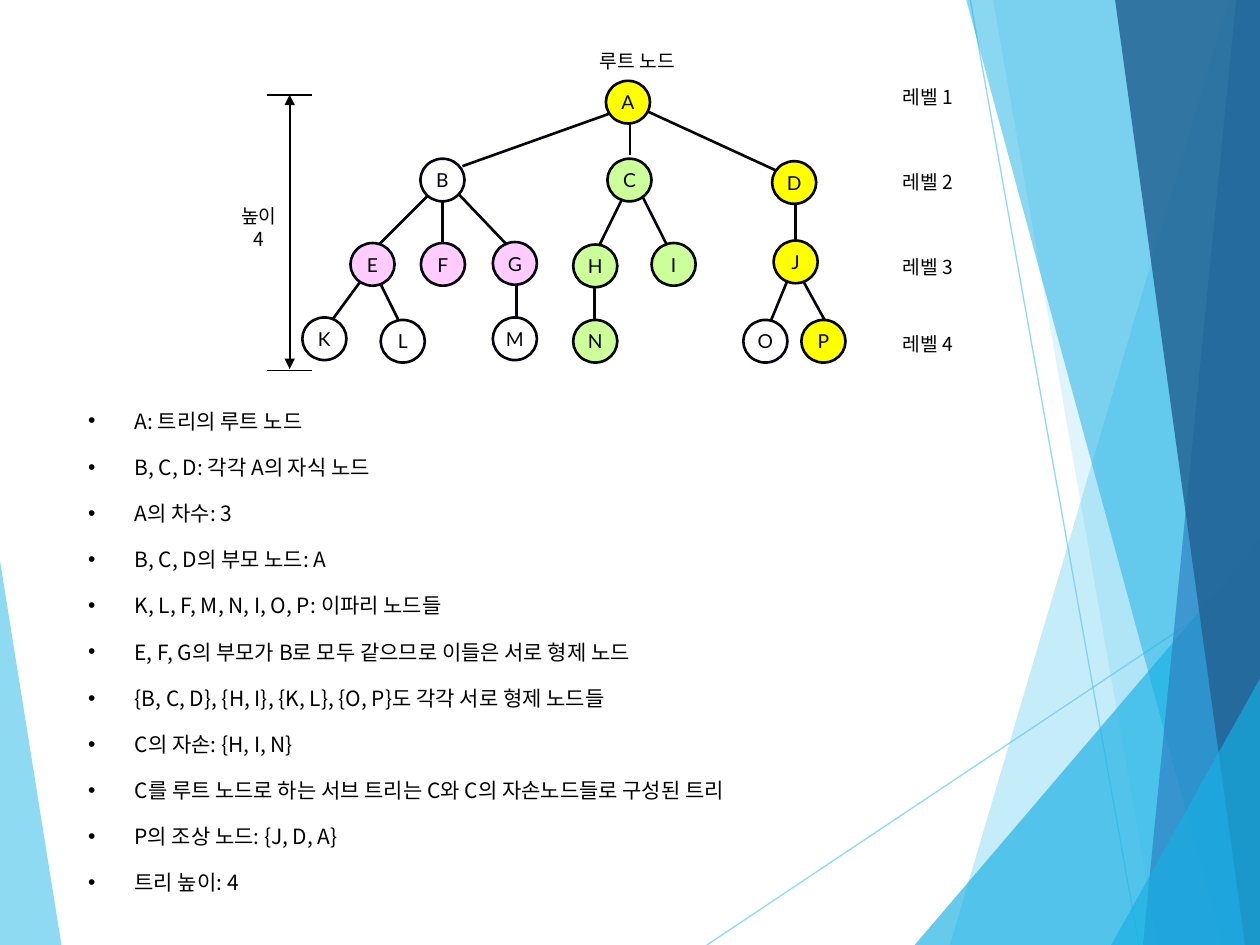
from lxml.etree import SubElement
from pptx import Presentation
from pptx.dml.color import RGBColor
from pptx.enum.shapes import MSO_CONNECTOR, MSO_SHAPE
from pptx.enum.text import MSO_ANCHOR, MSO_AUTO_SIZE, PP_ALIGN
from pptx.oxml.ns import qn
from pptx.util import Cm, Pt

W, H = 25.4, 19.05
NODE_W, NODE_H = 0.89, 0.86
KOREAN, LATIN = "Noto Sans CJK KR", "Lato"
COLORS = {
    "sky": "5FCBEF", "cyan": "17B0E4", "blue": "2E83C3", "navy": "226292",
    "black": "000000", "ink": "04050C", "white": "FFFFFF",
    "yellow": "FFFF00", "pink": "FFCCFF", "green": "CCFF99",
}
RGB = {name: RGBColor.from_string(value) for name, value in COLORS.items()}

prs = Presentation()
prs.slide_width, prs.slide_height = Cm(W), Cm(H)
s = prs.slides.add_slide(prs.slide_layouts[1])
title, body = s.placeholders
title.element.getparent().remove(title.element)


def add_line(start, end, color, width):
    ln = s.shapes.add_connector(MSO_CONNECTOR.STRAIGHT, *map(Cm, start + end))
    ln.line.color.rgb = RGB[color]
    ln.line.width = Pt(width)
    SubElement(ln.element.spPr, qn("a:effectLst"))
    return ln


def write(tf, lines, frame, para, font, color):
    tf.text = "\n".join(lines)
    for name, value in frame.items():
        setattr(tf, name, value)
    for p in tf.paragraphs:
        for name, value in para.items():
            setattr(p, name, value)
        r = p.runs[0]
        for name, value in font.items():
            setattr(r.font, name, value)
        r.font.color.rgb = RGB[color]
        r.font._element.set("kern", "0")
        SubElement(r.font._element, qn("a:ea"), typeface=font["name"])


# Background: each facet runs from a top point to the bottom and its side edge
facets = [
    # top x, top y, bottom x, edge x, colour, opacity
    (0, 11.3, 1.24, 0, "sky", 70),
    (24.77, 0, 19.15, W, "sky", 36),
    (20.02, 0, 23.34, W, "sky", 20),
    (W, 10.9, 18.44, W, "cyan", 66),
    (19.48, 0, 24.64, W, "cyan", 50),
    (24.92, 0, 23.04, W, "blue", 70),
    (22.48, 0, 25.1, W, "navy", 82),
    (W, 13.68, 22.4, W, "cyan", 66),
]
streaks = [((14.25, H), (W, 11.61)), ((19.56, 0), (22.96, H))]
for start, end in streaks:
    ln = add_line(start, end, "sky", 0.75)
    clr = ln.line.fill._xPr.find(".//" + qn("a:srgbClr"))
    SubElement(clr, qn("a:alpha"), val="70000")
for top_x, top_y, bottom_x, edge, color, opacity in facets:
    fb = s.shapes.build_freeform(Cm(top_x), Cm(top_y))
    corners = [(bottom_x, H), (edge, H), (edge, top_y)]
    fb.add_line_segments([(Cm(x), Cm(y)) for x, y in corners], close=True)
    sp = fb.convert_to_shape()
    sp.shadow.inherit = False
    sp.line.fill.background()
    sp.fill.solid()
    sp.fill.fore_color.rgb = RGB[color]
    clr = sp.element.spPr.find(".//" + qn("a:srgbClr"))
    SubElement(clr, qn("a:alpha"), val=str(opacity * 1000))

# Explanation list
facts = [
    "A: 트리의 루트 노드",
    "B, C, D: 각각 A의 자식 노드",
    "A의 차수: 3",
    "B, C, D의 부모 노드: A",
    "K, L, F, M, N, I, O, P: 이파리 노드들",
    "E, F, G의 부모가 B로 모두 같으므로 이들은 서로 형제 노드",
    "{B, C, D}, {H, I}, {K, L}, {O, P}도 각각 서로 형제 노드들",
    "C의 자손: {H, I, N}",
    "C를 루트 노드로 하는 서브 트리는 C와 C의 자손노드들로 구성된 트리",
    "P의 조상 노드: {J, D, A}",
    "트리 높이: 4",
]
body.left, body.top, body.width, body.height = map(Cm, (1.52, 8.1, 23.14, 10.19))
write(body.text_frame, facts,
      {"auto_size": MSO_AUTO_SIZE.NONE, "vertical_anchor": MSO_ANCHOR.TOP},
      {"line_spacing": 1.0, "space_before": Pt(0), "space_after": Pt(12)},
      {"name": KOREAN, "size": Pt(12)}, "black")
for p in body.text_frame.paragraphs:
    pPr = p._p.get_or_add_pPr()
    pPr.set("marL", str(Cm(0.94)))
    pPr.set("indent", str(-Cm(0.94)))
    SubElement(pPr, qn("a:buChar"), char="•")

# Tree edges, from parent to child
edges = [
    ((12.29, 2.29), (9.32, 3.35)),    # A-B
    ((12.7, 2.49), (12.7, 3.12)),     # A-C
    ((12.65, 2.06), (16.13, 3.66)),   # A-D
    ((8.81, 3.76), (7.57, 5)),        # B-E
    ((8.92, 4.04), (8.92, 5.03)),     # B-F
    ((9.07, 3.73), (10.31, 5.03)),    # B-G
    ((12.6, 3.89), (12.04, 5.03)),    # C-H
    ((12.85, 3.76), (13.49, 5.03)),   # C-I
    ((16.03, 4.09), (16.03, 4.88)),   # D-J
    ((7.57, 5.26), (6.6, 6.58)),      # E-K
    ((7.54, 5.46), (8.13, 6.65)),     # E-L
    ((10.41, 5.59), (10.41, 6.53)),   # G-M
    ((11.99, 5.61), (11.99, 6.55)),   # H-N
    ((15.9, 5.59), (15.44, 6.71)),    # J-O
    ((16.15, 5.59), (16.64, 6.48)),   # J-P
]
for start, end in edges:
    add_line(start, end, "ink", 1.5)

# Tree nodes: centre and fill
nodes = {
    "A": (12.66, 2.06, "yellow"), "B": (8.92, 3.63, "white"),
    "C": (12.69, 3.63, "green"), "D": (16.01, 3.68, "yellow"),
    "E": (7.51, 5.33, "pink"), "F": (8.93, 5.33, "pink"),
    "G": (10.38, 5.31, "pink"), "H": (12, 5.36, "green"),
    "I": (13.58, 5.33, "green"), "J": (16.04, 5.28, "yellow"),
    "K": (6.54, 6.83, "white"), "L": (8.12, 6.88, "white"),
    "M": (10.38, 6.83, "white"), "N": (12, 6.88, "green"),
    "O": (15.43, 6.88, "white"), "P": (16.6, 6.88, "yellow"),
}
no_margins = dict.fromkeys(
    ("margin_left", "margin_right", "margin_top", "margin_bottom"), 0)
for name, (x, y, color) in nodes.items():
    sp = s.shapes.add_shape(MSO_SHAPE.OVAL, Cm(x - NODE_W / 2), Cm(y - NODE_H / 2),
                            Cm(NODE_W), Cm(NODE_H))
    sp.shadow.inherit = False
    sp.fill.solid()
    sp.fill.fore_color.rgb = RGB[color]
    sp.line.color.rgb = RGB["ink"]
    sp.line.width = Pt(1.5)
    write(sp.text_frame, [name],
          {**no_margins, "word_wrap": False, "vertical_anchor": MSO_ANCHOR.MIDDLE},
          {"alignment": PP_ALIGN.CENTER}, {"name": LATIN, "size": Pt(11)}, "ink")

# Height marker
arrow = add_line((5.84, 7.44), (5.84, 1.91), "black", 1)
for end in ("a:headEnd", "a:tailEnd"):
    SubElement(arrow.line._get_or_add_ln(), qn(end), type="triangle")
for y in (1.91, 7.47):
    add_line((5.38, y), (6.28, y), "black", 1)

# Labels
labels = [
    (11.46, 0.86, 2.79, 0.51, ["루트 노드"]),
    (4.04, 3.99, 2.36, 0.84, ["높이", "4"]),
]
for level, y in enumerate((1.6, 3.3, 5.03, 6.58), 1):
    labels.append((17.52, y, 2.36, 0.51, [f"레벨 {level}"]))
for x, y, w, h, lines in labels:
    tb = s.shapes.add_textbox(Cm(x), Cm(y), Cm(w), Cm(h))
    write(tb.text_frame, lines, {"word_wrap": True},
          {"alignment": PP_ALIGN.CENTER, "line_spacing": 1.0},
          {"name": KOREAN, "size": Pt(11)}, "black")

prs.save("out.pptx")
